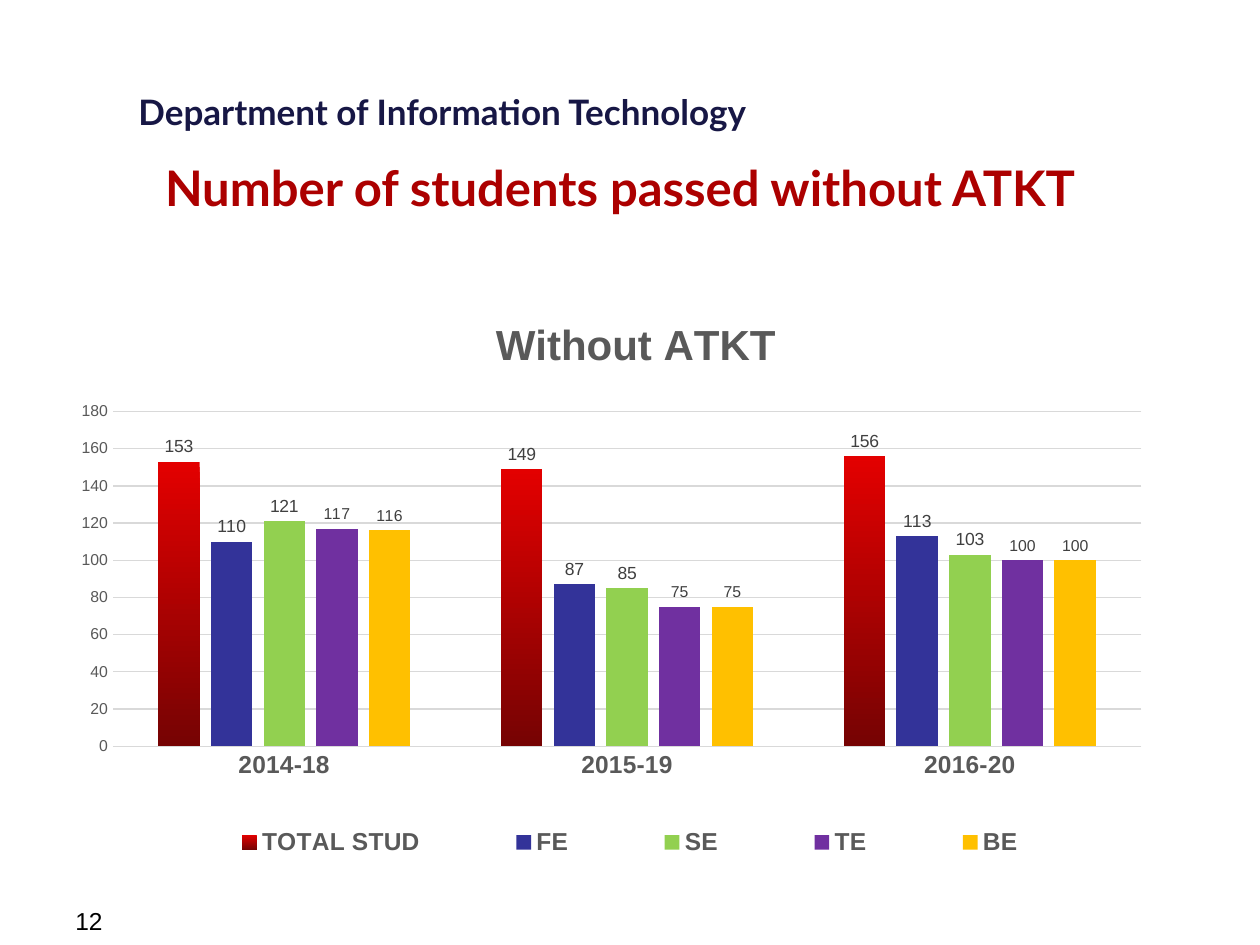
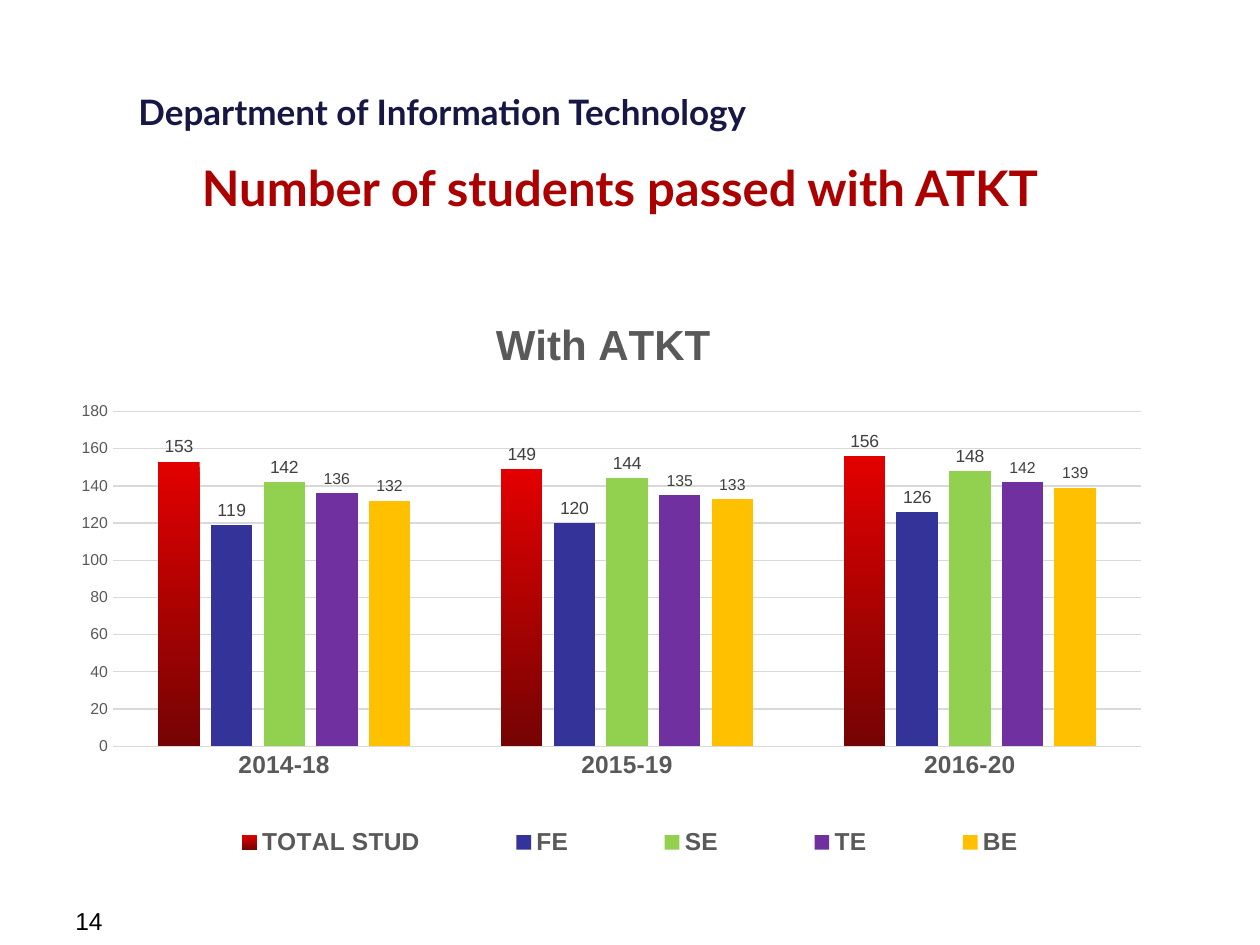
"""Builds two slides of clustered column charts on student results."""
from dataclasses import dataclass

from lxml import etree
from pptx import Presentation
from pptx.chart.data import CategoryChartData
from pptx.dml.color import RGBColor
from pptx.enum.chart import XL_CHART_TYPE, XL_LABEL_POSITION, XL_LEGEND_POSITION, XL_TICK_MARK
from pptx.enum.text import MSO_ANCHOR, MSO_AUTO_SIZE, PP_ALIGN
from pptx.oxml.ns import qn
from pptx.util import Inches, Pt

COLUMNS = XL_CHART_TYPE.COLUMN_CLUSTERED
OUTSIDE = XL_LABEL_POSITION.OUTSIDE_END
RIGHT = XL_LEGEND_POSITION.RIGHT
NO_TICK = XL_TICK_MARK.NONE
TOP = MSO_ANCHOR.TOP
NO_FIT = MSO_AUTO_SIZE.NONE
LEFT, CENTER = PP_ALIGN.LEFT, PP_ALIGN.CENTER


@dataclass(frozen=True)
class Theme:
    heading_font: str = "Lato"
    body_font: str = "Arial"
    navy: str = "171745"
    red: str = "AC0000"
    black: str = "000000"
    gray: str = "595959"
    label: str = "404040"
    rule: str = "D9D9D9"
    total: tuple = ("E30000", "760303")
    years: tuple = ("333399", "92D050", "7030A0", "FFC000")
    title_size: int = 28
    chart_title_size: int = 24
    department_size: int = 20
    body_size: int = 14
    label_size: int = 10
    small_size: int = 9


DEPARTMENT = "Department of Information Technology"
BATCHES = ("2014-18", "2015-19", "2016-20")
TOTAL = (153, 149, 156)
YEARS = ("FE", "SE", "TE", "BE")
SLIDES = (
    ("Number of students passed without ATKT", "Without ATKT", "12",
     ((110, 87, 113), (121, 85, 103), (117, 75, 100), (116, 75, 100))),
    ("Number of students passed with ATKT", "With ATKT", "14",
     ((119, 120, 126), (142, 144, 148), (136, 135, 142), (132, 133, 139))),
)


def rgb(value):
    return RGBColor.from_string(value)


def style_font(font, size, color, name, bold=False):
    font.size, font.name, font.bold = Pt(size), name, bold
    font.color.rgb = rgb(color)


def write(tf, text, align=LEFT, wrap=True, **fmt):
    tf.word_wrap = wrap
    tf.auto_size = NO_FIT
    tf.vertical_anchor = TOP
    p = tf.paragraphs[0]
    p.alignment = align
    r = p.add_run()
    r.text = text
    style_font(r.font, **fmt)


def place(element, index, target=None, **fractions):
    for old in element.findall(qn("c:layout")):
        element.remove(old)
    layout = etree.Element(qn("c:layout"))
    manual = etree.SubElement(layout, qn("c:manualLayout"))
    settings = {"layoutTarget": target} if target else {}
    settings.update(xMode="edge", yMode="edge", **fractions)
    for tag, value in settings.items():
        etree.SubElement(manual, qn(f"c:{tag}")).set("val", str(value))
    element.insert(index, layout)


class Deck:
    def __init__(self, theme):
        self.theme = theme
        self.prs = Presentation()
        self.prs.slide_width, self.prs.slide_height = Inches(10), Inches(7.5)
        self.s = None

    def add_slide(self):
        self.s = self.prs.slides.add_slide(self.prs.slide_layouts[5])

    def text(self, text, x, y, w, h, **fmt):
        sp = self.s.shapes.add_textbox(Inches(x), Inches(y), Inches(w), Inches(h))
        write(sp.text_frame, text, **fmt)

    def department(self):
        t = self.theme
        self.text(DEPARTMENT, 1, 0.67, 5.35, 0.44, wrap=False, size=t.department_size,
                  color=t.navy, name=t.heading_font, bold=True)

    def title(self, text):
        t = self.theme
        sp = self.s.shapes.title
        sp.left, sp.top = Inches(0.17), Inches(1.2)
        sp.width, sp.height = Inches(9.5), Inches(0.48)
        write(sp.text_frame, text, align=CENTER, size=t.title_size, color=t.red,
              name=t.heading_font, bold=True)

    def number(self, text):
        t = self.theme
        self.text(text, 0.5, 7.14, 2.33, 0.27, size=t.body_size, color=t.black,
                  name=t.body_font)

    def chart(self, title, results):
        t = self.theme
        data = CategoryChartData()
        data.categories = BATCHES
        data.add_series("TOTAL STUD", TOTAL)
        for year, values in zip(YEARS, results):
            data.add_series(year, values)
        chart = self.s.shapes.add_chart(
            COLUMNS, Inches(0.5), Inches(2.17), Inches(9), Inches(4.83), data).chart
        style_font(chart.font, t.label_size, t.black, t.body_font)
        plot = chart.plots[0]
        plot.gap_width, plot.overlap, plot.vary_by_categories = 219, -27, False
        self.chart_title(chart, title)
        self.legend(chart)
        self.axes(chart)
        self.columns(plot)
        place(chart._chartSpace.chart.plotArea, 0, "inner", x=0.044, y=0.227, w=0.907, h=0.55)

    def chart_title(self, chart, text):
        t = self.theme
        chart.has_title = True
        title = chart.chart_title
        title.include_in_layout = False
        r = title.text_frame.paragraphs[0].add_run()
        r.text = text
        style_font(r.font, t.chart_title_size, t.gray, t.body_font, True)
        place(title._element, 1, x=0.375, y=0.06)

    def legend(self, chart):
        t = self.theme
        chart.has_legend = True
        legend = chart.legend
        legend.position = RIGHT
        legend.include_in_layout = False
        style_font(legend.font, t.body_size, t.gray, t.body_font, True)
        place(legend._element, 1, x=0.08, y=0.89, w=0.84, h=0.09)

    def axes(self, chart):
        t = self.theme
        cat, val = chart.category_axis, chart.value_axis
        for axis, size, bold in ((cat, t.body_size, True), (val, t.small_size, False)):
            axis.major_tick_mark = axis.minor_tick_mark = NO_TICK
            style_font(axis.tick_labels.font, size, t.gray, t.body_font, bold)
        val.minimum_scale, val.maximum_scale, val.major_unit = 0, 180, 20
        val.has_major_gridlines = True
        val.format.line.fill.background()
        for line in (cat.format.line, val.major_gridlines.format.line):
            line.color.rgb = rgb(t.rule)
            line.width = Pt(0.75)

    def columns(self, plot):
        t = self.theme
        total, *years = plot.series
        fill = total.format.fill
        fill.gradient()
        fill.gradient_angle = 270
        for stop, color in zip(fill.gradient_stops, t.total):
            stop.color.rgb = rgb(color)
        for series, color in zip(years, t.years):
            series.format.fill.solid()
            series.format.fill.fore_color.rgb = rgb(color)
        for series in plot.series:
            size = t.small_size if series.name in ("TE", "BE") else t.label_size
            labels = series.data_labels
            labels.show_value = True
            labels.position = OUTSIDE
            style_font(labels.font, size, t.label, t.body_font)


def main():
    deck = Deck(Theme())
    for title, chart_title, number, results in SLIDES:
        deck.add_slide()
        deck.department()
        deck.title(title)
        deck.number(number)
        deck.chart(chart_title, results)
    deck.prs.save("out.pptx")


if __name__ == "__main__":
    main()
